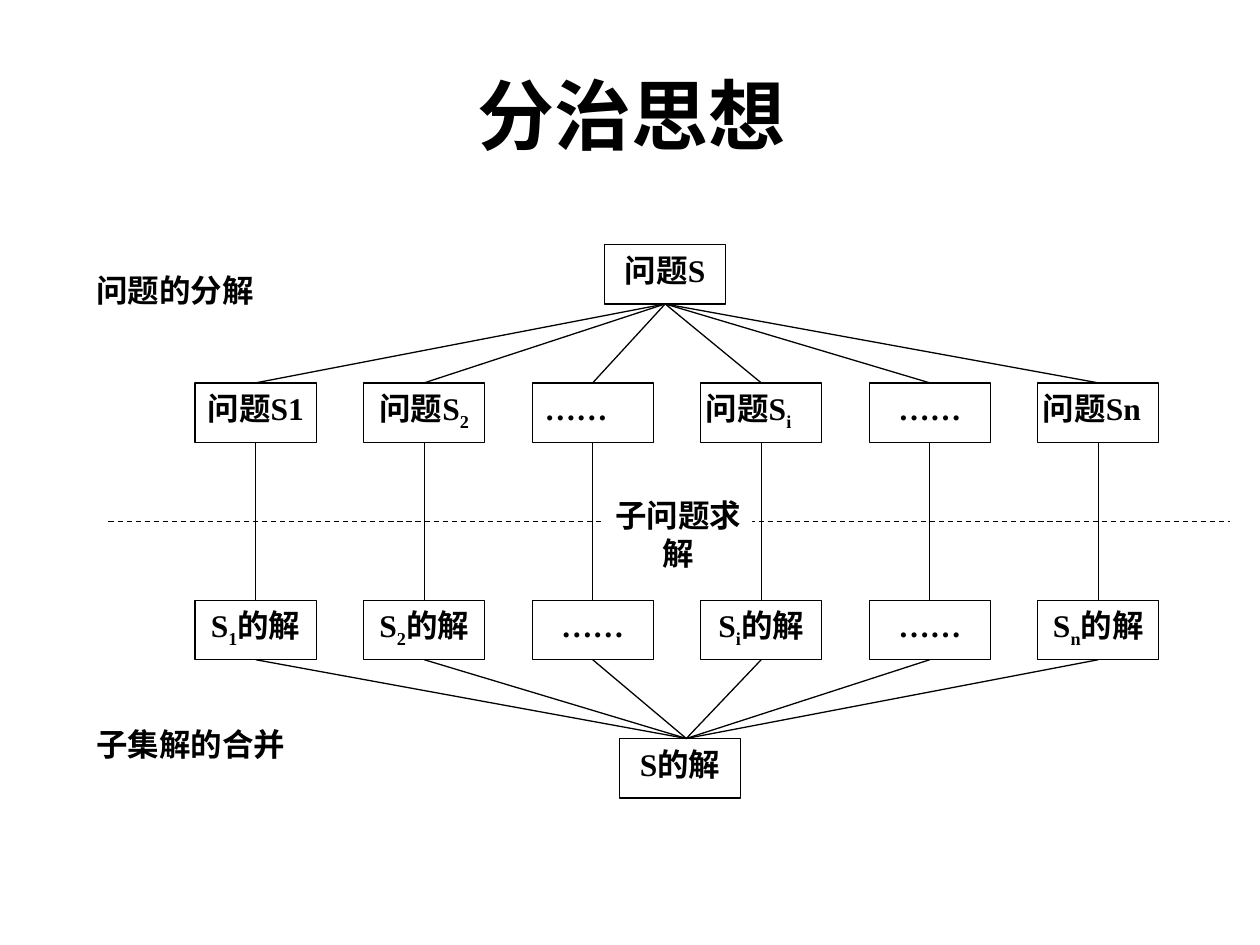
"""Build the divide-and-conquer diagram slide."""
from dataclasses import dataclass

from lxml.etree import SubElement
from pptx import Presentation
from pptx.dml.color import RGBColor as Rgb
from pptx.enum.dml import MSO_LINE as Dash
from pptx.enum.shapes import MSO_CONNECTOR as Conn, MSO_SHAPE as Kind
from pptx.enum.text import MSO_ANCHOR as Anchor, PP_ALIGN as Align
from pptx.oxml.ns import qn
from pptx.util import Pt


@dataclass(frozen=True)
class Theme:
    ink: Rgb = Rgb(0, 0, 0)
    paper: Rgb = Rgb(255, 255, 255)
    head: str = "Arial"
    body: str = "Times New Roman"
    big: float = 44
    small: float = 18
    rule: float = 0.75
    sub: str = "-25000"


class Pen:
    def __init__(self, theme, slide):
        self.theme = theme
        self.slide = slide

    def letter(self, shape, text, font, size, align, pad, anchor):
        frame = shape.text_frame
        frame.word_wrap = True
        frame.vertical_anchor = anchor
        frame.margin_left = frame.margin_right = Pt(pad)
        frame.margin_top = frame.margin_bottom = Pt(3.6)
        para = frame.paragraphs[0]
        para.alignment = align
        for i, part in enumerate(text.split("_")):
            run = para.add_run()
            run.text = part
            run.font.name = font
            run.font.size = Pt(size)
            run.font.bold = True
            run.font.color.rgb = self.theme.ink
            if i % 2:
                run._r.get_or_add_rPr().set("baseline", self.theme.sub)

    def title(self, text, x, y, w, h):
        box = self.slide.shapes.add_textbox(Pt(x), Pt(y), Pt(w), Pt(h))
        self.letter(box, text, self.theme.head, self.theme.big,
                    Align.CENTER, 7.2, Anchor.MIDDLE)

    def panel(self, kind, text, x, y, w, h, align, pad):
        shape = self.slide.shapes.add_shape(kind, Pt(x), Pt(y), Pt(w), Pt(h))
        shape.shadow.inherit = False
        shape.fill.solid()
        shape.fill.fore_color.rgb = self.theme.paper
        shape.line.fill.background()
        self.letter(shape, text, self.theme.body, self.theme.small,
                    align, pad, Anchor.TOP)
        return shape

    def box(self, text, x, y, align=Align.CENTER, pad=2.9):
        shape = self.panel(Kind.FLOWCHART_PROCESS, text, x, y, WIDE, HIGH, align, pad)
        shape.line.color.rgb = self.theme.ink
        shape.line.width = Pt(self.theme.rule)
        return shape

    def label(self, text, x, y, w, align=Align.JUSTIFY, pad=7.2):
        self.panel(Kind.RECTANGLE, text, x, y, w, HIGH, align, pad)

    def line(self, x1=0, y1=0, x2=0, y2=0, start=None, end=None, dash=None):
        link = self.slide.shapes.add_connector(
            Conn.STRAIGHT, Pt(x1), Pt(y1), Pt(x2), Pt(y2))
        link.line.color.rgb = self.theme.ink
        link.line.width = Pt(self.theme.rule)
        if dash:
            link.line.dash_style = dash
        SubElement(link._element.spPr, qn("a:effectLst"))
        if start:
            link.begin_connect(start, 2)
        if end:
            link.end_connect(end, 0)


WIDE, HIGH = 69.2, 34
LEFT, STEP = 111.5, 96.3
ROOT, UPPER, LOWER, GOAL = 139.7, 218.8, 343, 422
JOIN = 392.2
DOTS = "……"
TASKS = [
    ("问题S1", Align.CENTER, 2.9),
    ("问题S_2", Align.CENTER, 2.9),
    (DOTS, Align.JUSTIFY, 7.2),
    ("问题S_i", Align.JUSTIFY, 2.9),
    (DOTS, Align.CENTER, 7.2),
    ("问题Sn", Align.JUSTIFY, 2.9),
]
PARTS = ["S_1_的解", "S_2_的解", DOTS, "S_i_的解", DOTS, "S_n_的解"]


def main():
    deck = Presentation()
    deck.slide_width, deck.slide_height = Pt(720), Pt(540)
    pen = Pen(Theme(), deck.slides.add_slide(deck.slide_layouts[6]))

    pen.title("分治思想", 155.5, 20, 410.5, 90)
    root = pen.box("问题S", 345.5, ROOT, pad=7.2)
    pen.box("S的解", 354, GOAL)
    cols = [LEFT + i * STEP for i in range(len(TASKS))]
    tasks = [pen.box(text, x, UPPER, align, pad)
             for x, (text, align, pad) in zip(cols, TASKS)]
    parts = [pen.box(text, x, LOWER) for x, text in zip(cols, PARTS)]

    pen.line(62, 298, 702.7, 298, dash=Dash.DASH)
    for task, part in zip(tasks, parts):
        pen.line(start=root, end=task)
        pen.line(start=task, end=part)
        pen.line(x2=JOIN, y2=GOAL, start=part)

    pen.label("问题的分解", 48, 151.2, 110)
    pen.label("子集解的合并", 48, 411, 124)
    pen.label("子问题求解", 345.6, 280, 84.2, Align.CENTER, 0)
    deck.save("out.pptx")


if __name__ == "__main__":
    main()
